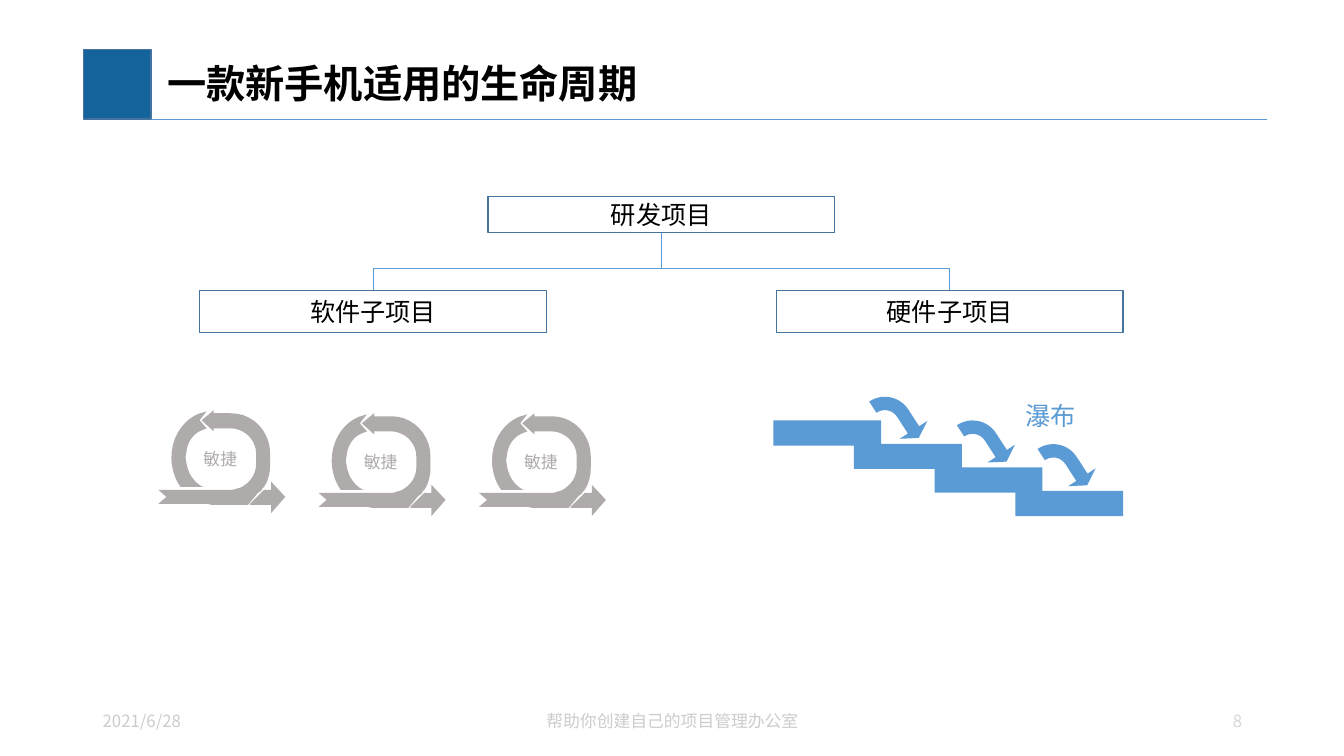
from dataclasses import dataclass

from lxml.etree import SubElement
from pptx import Presentation
from pptx.dml.color import RGBColor
from pptx.enum.shapes import MSO_CONNECTOR, MSO_SHAPE
from pptx.enum.text import MSO_ANCHOR, MSO_AUTO_SIZE, PP_ALIGN
from pptx.oxml.ns import qn
from pptx.util import Inches, Pt


@dataclass(frozen=True)
class Theme:
    font: str = "Noto Sans CJK SC"
    accent: str = "15639B"
    border: str = "43739E"
    blue: str = "5B9BD5"
    grey: str = "AFABAB"
    footer: str = "CCCCCC"
    page_number: str = "D6D6D6"
    black: str = "000000"
    white: str = "FFFFFF"
    title_size: int = 28
    label_size: int = 18
    small_size: int = 12


THEME = Theme()

LOOP_HEAD = [(112, 71), (126, 86), (112, 102), (112, 94), (91, 94), (91, 93), (105, 79), (112, 79)]
LOOP_LEFT_ARC = [
    (48, 1), (41, 10), (48, 18), (43, 20), (35, 23, 29, 31, 28, 41), (27, 47), (28, 53),
    (30, 64, 36, 72, 44, 76), (46, 76), (22, 76), (20, 73), (16, 66, 13, 57, 13, 47),
    (13, 25, 27, 6, 45, 2),
]
LOOP_BODY = [
    (55, 0), (55, 3), (72, 3), (94, 3, 111, 21, 111, 43), (111, 54),
    (111, 62, 109, 70, 105, 76), (103, 78), (102, 80), (99, 82), (89, 94), (53, 94), (49, 93),
    (0, 93), (8, 86), (0, 79), (72, 79), (73, 79, 75, 79, 77, 78), (81, 77),
    (90, 73, 97, 64, 97, 54), (97, 43), (97, 29, 85, 18, 72, 18), (55, 18), (55, 21), (43, 10),
]


def color(value):
    return RGBColor.from_string(value)


def write_text(text_frame, text, size, text_color, align=PP_ALIGN.LEFT, bold=False):
    text_frame.text = text
    paragraph = text_frame.paragraphs[0]
    paragraph.alignment = align
    for run in paragraph.runs:
        run.font.size = Pt(size)
        run.font.bold = bold
        run.font.name = THEME.font
        run.font.color.rgb = color(text_color)
        SubElement(run.font._element, qn("a:ea"), typeface=THEME.font)
    return paragraph


def style_shape(shape, fill, line=None):
    shape.shadow.inherit = False
    shape.fill.solid()
    shape.fill.fore_color.rgb = color(fill)
    if line:
        shape.line.color.rgb = color(line)
        shape.line.width = Pt(1)
    else:
        shape.line.fill.background()


def add_block(slide, kind, left, top, width, height, fill, line=None):
    shape = slide.shapes.add_shape(kind, Inches(left), Inches(top), Inches(width), Inches(height))
    style_shape(shape, fill, line)
    return shape


def add_project_box(slide, text, left, top, height):
    shape = add_block(slide, MSO_SHAPE.RECTANGLE, left, top, 3.44, height, THEME.white, THEME.border)
    shape.text_frame.vertical_anchor = MSO_ANCHOR.MIDDLE
    write_text(shape.text_frame, text, THEME.label_size, THEME.black, PP_ALIGN.CENTER)
    return shape


def add_line(slide, start_x, start_y, end_x, end_y):
    connector = slide.shapes.add_connector(
        MSO_CONNECTOR.STRAIGHT, Inches(start_x), Inches(start_y), Inches(end_x), Inches(end_y)
    )
    connector.line.color.rgb = color(THEME.blue)
    connector.line.width = Pt(0.5)
    SubElement(connector._element.spPr, qn("a:effectLst"))
    return connector


def add_label(slide, text, left, top, width, height, size, text_color):
    box = slide.shapes.add_textbox(Inches(left), Inches(top), Inches(width), Inches(height))
    box.text_frame.word_wrap = False
    box.text_frame.auto_size = MSO_AUTO_SIZE.SHAPE_TO_FIT_TEXT
    write_text(box.text_frame, text, size, text_color)


def add_footer(slide, text, left, width, align, text_color):
    box = slide.shapes.add_textbox(Inches(left), Inches(6.95), Inches(width), Inches(0.4))
    box.text_frame.word_wrap = True
    box.text_frame.vertical_anchor = MSO_ANCHOR.MIDDLE
    write_text(box.text_frame, text, THEME.small_size, text_color, align)


def flatten(segments, steps=10):
    points = [segments[0]]
    for segment in segments[1:]:
        if len(segment) == 2:
            points.append(segment)
            continue
        controls = [points[-1], segment[:2], segment[2:4], segment[4:]]
        for step in range(1, steps + 1):
            t = step / steps
            weights = ((1 - t) ** 3, 3 * t * (1 - t) ** 2, 3 * t * t * (1 - t), t**3)
            points.append(tuple(
                sum(weight * point[axis] for weight, point in zip(weights, controls))
                for axis in (0, 1)
            ))
    return [(x * 10, y * 10) for x, y in points]


def add_agile_loop(slide, left, top):
    outlines = [flatten(part) for part in (LOOP_HEAD, LOOP_LEFT_ARC, LOOP_BODY)]
    builder = slide.shapes.build_freeform(*outlines[0][0], scale=Inches(0.001))
    builder.add_line_segments(outlines[0][1:])
    for outline in outlines[1:]:
        builder.move_to(*outline[0])
        builder.add_line_segments(outline[1:])
    style_shape(builder.convert_to_shape(Inches(left), Inches(top)), THEME.grey)
    add_label(slide, "敏捷", left + 0.35, top + 0.33, 0.54, 0.3, THEME.small_size, THEME.grey)


def add_waterfall(slide):
    for index in range(4):
        add_block(slide, MSO_SHAPE.RECTANGLE, 7.67 + 0.8 * index, 4.17 + 0.7 * index / 3,
                  1.07, 0.25, THEME.blue)
    for index, left in enumerate((8.65, 9.52, 10.32)):
        arrow = add_block(slide, MSO_SHAPE.BENT_ARROW, left, 3.93 + 0.235 * index,
                          0.57, 0.38, THEME.blue)
        arrow.rotation = 57.1
        for position, value in enumerate((0.349, 0.43, 0.25, 0.728)):
            arrow.adjustments[position] = value
    add_label(slide, "瀑布", 10.07, 3.92, 0.71, 0.4, THEME.label_size, THEME.blue)


def add_project_tree(slide):
    root = add_project_box(slide, "研发项目", 4.84, 1.95, 0.36)
    add_line(slide, 6.56, 2.31, 6.56, 2.66).begin_connect(root, 2)
    add_line(slide, 3.7, 2.66, 9.42, 2.66)
    for text, left in (("软件子项目", 1.98), ("硬件子项目", 7.7)):
        child = add_project_box(slide, text, left, 2.88, 0.42)
        center = left + 1.72
        add_line(slide, center, 2.88, center, 2.66).begin_connect(child, 0)


def add_header(slide, text):
    add_block(slide, MSO_SHAPE.RECTANGLE, 0.83, 0.49, 0.67, 0.69, THEME.accent, THEME.border)
    add_line(slide, 1.5, 1.18, 12.57, 1.18)
    title = slide.shapes.title
    title.left, title.top, title.width, title.height = map(Inches, (1.5, 0.5, 11.07, 0.7))
    text_frame = title.text_frame
    text_frame.auto_size = MSO_AUTO_SIZE.NONE
    text_frame.vertical_anchor = MSO_ANCHOR.MIDDLE
    text_frame.margin_left = Inches(0.16)
    paragraph = write_text(text_frame, text, THEME.title_size, THEME.black, bold=True)
    paragraph.line_spacing = 0.9


def main():
    presentation = Presentation()
    presentation.slide_width = Inches(13.33)
    presentation.slide_height = Inches(7.5)
    slide = presentation.slides.add_slide(presentation.slide_layouts[5])
    add_header(slide, "一款新手机适用的生命周期")
    add_footer(slide, "2021/6/28", 0.92, 3, PP_ALIGN.LEFT, THEME.footer)
    add_footer(slide, "帮助你创建自己的项目管理办公室", 4.42, 4.5, PP_ALIGN.CENTER, THEME.footer)
    add_footer(slide, "8", 9.66, 2.76, PP_ALIGN.RIGHT, THEME.page_number)
    for left, top in ((1.57, 4.07), (3.16, 4.1), (4.75, 4.1)):
        add_agile_loop(slide, left, top)
    add_waterfall(slide)
    add_project_tree(slide)
    presentation.save("out.pptx")


if __name__ == "__main__":
    main()
